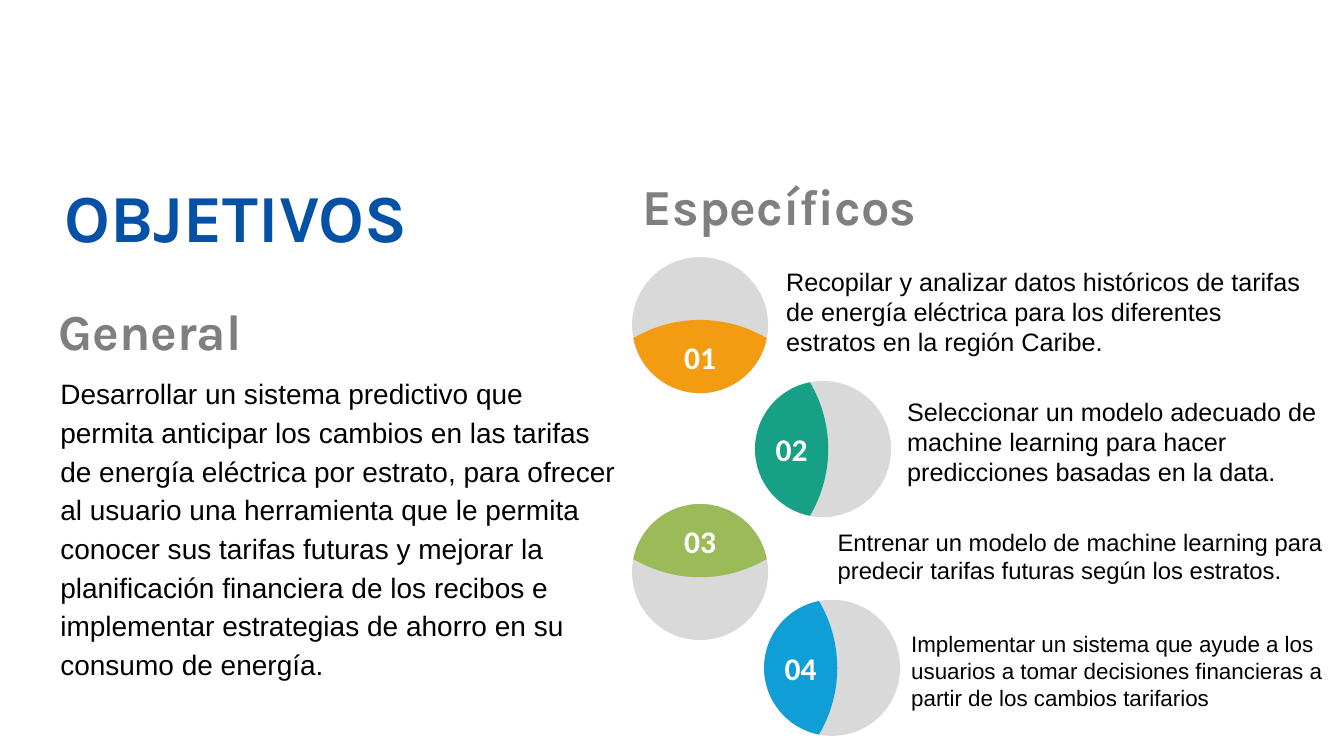
from dataclasses import dataclass
from enum import Enum
from math import asin, cos, pi, sin, sqrt, tan

from lxml import etree
from pptx import Presentation
from pptx.dml.color import RGBColor
from pptx.enum.shapes import MSO_SHAPE
from pptx.enum.text import MSO_ANCHOR, MSO_AUTO_SIZE, PP_ALIGN
from pptx.oxml.ns import qn
from pptx.shapes.autoshape import Shape
from pptx.slide import Slide
from pptx.util import Inches, Pt

BLUE = RGBColor(0x05, 0x51, 0xA5)
GRAY = RGBColor(0x7F, 0x7F, 0x7F)
LIGHT_GRAY = RGBColor(0xD9, 0xD9, 0xD9)
BLACK = RGBColor(0x00, 0x00, 0x00)
WHITE = RGBColor(0xFF, 0xFF, 0xFF)
ORANGE = RGBColor(0xF3, 0x9C, 0x12)
TEAL = RGBColor(0x16, 0xA0, 0x85)
GREEN = RGBColor(0x9B, 0xBB, 0x59)
SKY = RGBColor(0x0F, 0x9E, 0xD5)

DIAMETER = 1.35
RADIUS = DIAMETER / 2
CORNER_DEPTH = 0.13  # from the disc centre to the corners of the coloured cap
INNER_RADIUS = 1.3  # curvature of the cap's inner edge

Point = tuple[float, float]


class Side(Enum):
    """Unit vector from the disc centre towards its coloured cap."""
    TOP = (0, -1)
    BOTTOM = (0, 1)
    LEFT = (-1, 0)


@dataclass(frozen=True)
class TextBlock:
    text: str
    left: float
    top: float
    width: float
    height: float
    size: float
    font: str = "Arial"
    color: RGBColor = BLACK
    bold: bool = False
    align: PP_ALIGN = PP_ALIGN.LEFT
    anchor: MSO_ANCHOR = MSO_ANCHOR.TOP
    inset_left: float = 0.1
    line_spacing: float = 1.0


@dataclass(frozen=True)
class Objective:
    number: str
    disc_left: float
    disc_top: float
    side: Side
    color: RGBColor
    text: str
    left: float
    top: float
    width: float
    height: float
    size: float


HEADINGS = [
    TextBlock("OBJETIVOS", 0.1, 1.69, 4.48, 0.91, 48, "Karla", BLUE, True, PP_ALIGN.CENTER),
    TextBlock("General", 0.48, 2.93, 2.41, 0.71, 36, "Karla", GRAY, True),
    TextBlock("Específicos", 6.28, 1.69, 3.45, 0.71, 36, "Karla", GRAY, True),
]
GENERAL_OBJECTIVE = TextBlock(
    "Desarrollar un sistema predictivo que permita anticipar los cambios en las tarifas "
    "de energía eléctrica por estrato, para ofrecer al usuario una herramienta que le "
    "permita conocer sus tarifas futuras y mejorar la planificación financiera de los "
    "recibos e implementar estrategias de ahorro en su consumo de energía.",
    0.5, 3.64, 5.77, 3.15, 20, line_spacing=1.15)
OBJECTIVES = [
    Objective("01", 6.27, 2.55, Side.BOTTOM, ORANGE,
              "Recopilar y analizar datos históricos de tarifas de energía eléctrica "
              "para los diferentes estratos en la región Caribe.",
              7.8, 2.58, 5.26, 1.01, 18),
    Objective("02", 7.49, 3.78, Side.LEFT, TEAL,
              "Seleccionar un modelo adecuado de machine learning para hacer "
              "predicciones basadas en la data.",
              9, 3.87, 4.34, 1.01, 18),
    Objective("03", 6.27, 5, Side.TOP, GREEN,
              "Entrenar un modelo de machine learning para predecir tarifas futuras "
              "según los estratos.",
              8.31, 5.18, 5.03, 0.67, 17),
    Objective("04", 7.58, 5.95, Side.LEFT, SKY,
              "Implementar un sistema que ayude a los usuarios a tomar decisiones "
              "financieras a partir de los cambios tarifarios",
              9.04, 6.19, 4.34, 0.91, 16),
]


def add_text(slide: Slide, block: TextBlock) -> None:
    box = slide.shapes.add_textbox(Inches(block.left), Inches(block.top),
                                   Inches(block.width), Inches(block.height))
    frame = box.text_frame
    frame.word_wrap = True
    frame.auto_size = MSO_AUTO_SIZE.SHAPE_TO_FIT_TEXT
    frame.vertical_anchor = block.anchor
    frame.margin_left = Inches(block.inset_left)
    frame.text = block.text
    paragraph = frame.paragraphs[0]
    paragraph.alignment = block.align
    paragraph.line_spacing = block.line_spacing
    font = paragraph.runs[0].font
    font.name, font.size, font.bold = block.font, Pt(block.size), block.bold
    font.color.rgb = block.color


def paint(shape: Shape, color: RGBColor) -> None:
    shape.shadow.inherit = False
    shape.fill.solid()
    shape.fill.fore_color.rgb = color
    shape.line.fill.background()


def add_disc(slide: Slide, item: Objective) -> None:
    disc = slide.shapes.add_shape(MSO_SHAPE.OVAL, Inches(item.disc_left), Inches(item.disc_top),
                                  Inches(DIAMETER), Inches(DIAMETER))
    paint(disc, LIGHT_GRAY)


def arc_curves(center: float, radius: float, middle: float, spread: float) -> list[list[Point]]:
    """Two Bézier curves of four points each, from middle - spread to middle + spread."""
    handle = 4 / 3 * tan(spread / 4)
    curves = []
    for start, end in ((middle - spread, middle), (middle, middle + spread)):
        curve = [(cos(start), sin(start)),
                 (cos(start) - handle * sin(start), sin(start) + handle * cos(start)),
                 (cos(end) + handle * sin(end), sin(end) - handle * cos(end)),
                 (cos(end), sin(end))]
        curves.append([(center + radius * x, radius * y) for x, y in curve])
    return curves


def cap_curves(item: Objective) -> list[list[Point]]:
    """Curves along the disc edge, then back along the flatter inner arc."""
    half_width = sqrt(RADIUS ** 2 - CORNER_DEPTH ** 2)
    inner_angle = asin(half_width / INNER_RADIUS)
    inner_center = CORNER_DEPTH + INNER_RADIUS * cos(inner_angle)
    curves = (arc_curves(0, RADIUS, 0, asin(half_width / RADIUS))
              + arc_curves(inner_center, INNER_RADIUS, pi, inner_angle))
    center_x, center_y = item.disc_left + RADIUS, item.disc_top + RADIUS
    dx, dy = item.side.value
    return [[(Inches(center_x + depth * dx - across * dy),
              Inches(center_y + depth * dy + across * dx)) for depth, across in curve]
            for curve in curves]


def add_cap(slide: Slide, item: Objective) -> None:
    curves = cap_curves(item)
    builder = slide.shapes.build_freeform(*curves[0][0])
    builder.add_line_segments([curve[-1] for curve in curves], close=True)
    cap = builder.convert_to_shape()
    for segment, curve in zip(list(cap.element.iter(qn("a:lnTo"))), curves):
        bend = etree.Element(qn("a:cubicBezTo"))
        for x, y in curve[1:]:
            etree.SubElement(bend, qn("a:pt"), x=str(x - cap.left), y=str(y - cap.top))
        segment.getparent().replace(segment, bend)
    paint(cap, item.color)

    frame = cap.text_frame
    frame.margin_left = frame.margin_right = Inches(0.03)
    frame.margin_top = frame.margin_bottom = Inches(0.03)
    frame.vertical_anchor = MSO_ANCHOR.MIDDLE
    frame.text = item.number
    paragraph = frame.paragraphs[0]
    paragraph.alignment = PP_ALIGN.CENTER
    font = paragraph.runs[0].font
    font.name, font.size, font.bold = "Calibri", Pt(22.5), True
    font.color.rgb = WHITE


def main() -> None:
    presentation = Presentation()
    presentation.slide_width = Inches(40 / 3)
    presentation.slide_height = Inches(7.5)
    slide = presentation.slides.add_slide(presentation.slide_layouts[6])
    for block in [*HEADINGS, GENERAL_OBJECTIVE]:
        add_text(slide, block)
    for item in OBJECTIVES:
        add_disc(slide, item)
        add_cap(slide, item)
        add_text(slide, TextBlock(item.text, item.left, item.top, item.width, item.height,
                                  item.size, anchor=MSO_ANCHOR.BOTTOM, inset_left=0))
    presentation.save("out.pptx")


if __name__ == "__main__":
    main()
